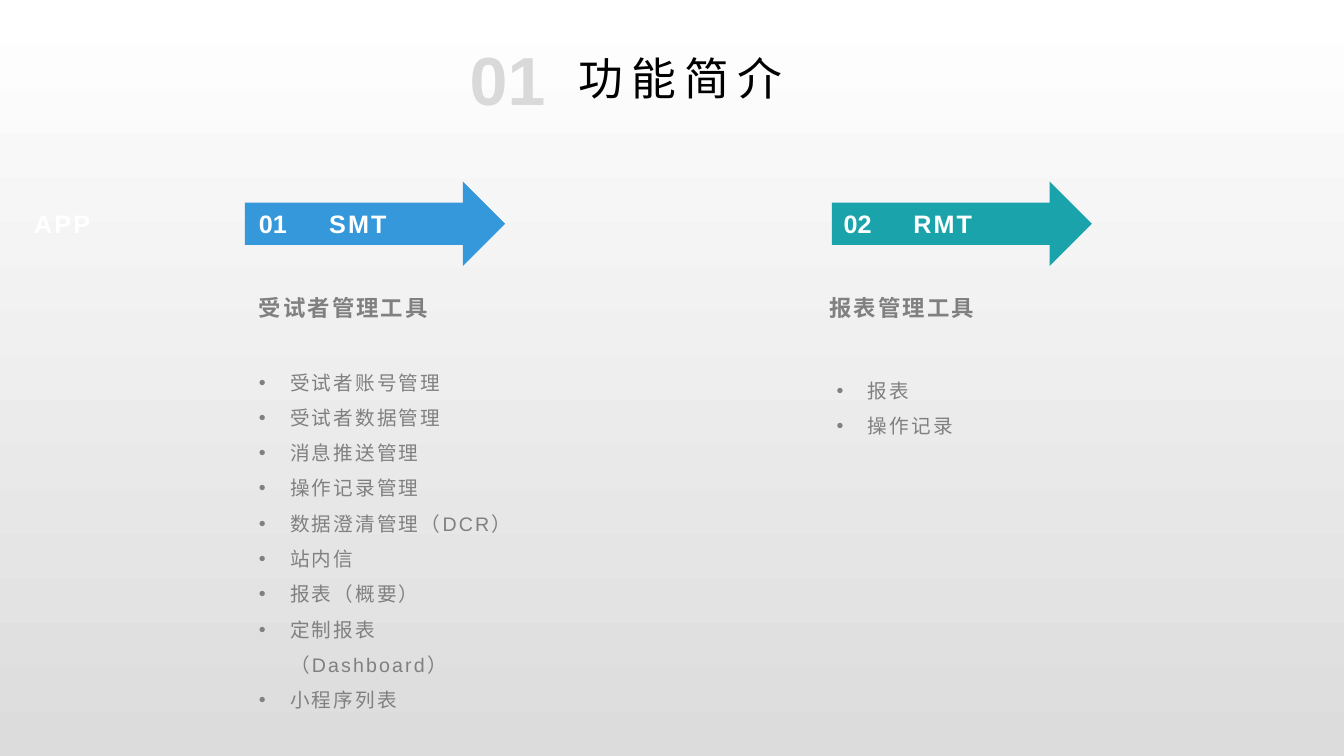
from lxml import etree
from pptx import Presentation
from pptx.dml.color import RGBColor
from pptx.enum.shapes import MSO_SHAPE
from pptx.enum.text import MSO_ANCHOR, PP_ALIGN
from pptx.oxml.ns import qn
from pptx.util import Inches, Pt

RIGHT_ARROW = MSO_SHAPE.RIGHT_ARROW
TOP, MIDDLE = MSO_ANCHOR.TOP, MSO_ANCHOR.MIDDLE
LEFT, CENTER = PP_ALIGN.LEFT, PP_ALIGN.CENTER

FONT = "Arial"
COLORS = {
    "white": "FFFFFF",
    "background_end": "DCDCDC",
    "black": "000000",
    "gray": "808080",
    "section": "D9D9D9",
    "blue": "3498DB",
    "teal": "1AA3AA",
}
TITLE = "功能简介"
SECTION_NUMBER = "01"
SIDE_LABEL = "APP"
TOOLS = [
    {
        "number": "01", "code": "SMT", "color": "blue",
        "arrow_left": 2.43, "number_left": 2.47, "code_box": (2.95, 1.2),
        "heading": "受试者管理工具", "heading_left": 2.47,
        "list_box": (2.47, 3.51, 2.9, 3.28),
        "features": [
            "受试者账号管理", "受试者数据管理", "消息推送管理",
            "操作记录管理", "数据澄清管理（DCR）", "站内信",
            "报表（概要）", "定制报表 （Dashboard）", "小程序列表",
        ],
    },
    {
        "number": "02", "code": "RMT", "color": "teal",
        "arrow_left": 8.25, "number_left": 8.27, "code_box": (8.79, 1.12),
        "heading": "报表管理工具", "heading_left": 8.13,
        "list_box": (8.2, 3.59, 2.3, 0.81),
        "features": ["报表", "操作记录"],
    },
]
ARROW_TOP, ARROW_WIDTH, ARROW_HEIGHT = 1.8, 2.58, 0.84
LABEL_TOP, LABEL_HEIGHT = 2.02, 0.4
BULLET_INDENT = Inches(0.31)


def rgb(name):
    return RGBColor.from_string(COLORS[name])


def add_bullet(paragraph):
    properties = paragraph._p.get_or_add_pPr()
    properties.set("marL", str(BULLET_INDENT))
    properties.set("indent", str(-BULLET_INDENT))
    etree.SubElement(properties, qn("a:buFont")).set("typeface", FONT)
    etree.SubElement(properties, qn("a:buChar")).set("char", "•")


def add_text(shapes, box, lines, size, color, bold=False, spacing=0,
             align=LEFT, anchor=TOP, line_spacing=None, bullets=False):
    shape = shapes.add_textbox(*map(Inches, box))
    frame = shape.text_frame
    frame.word_wrap = True
    frame.vertical_anchor = anchor
    for index, line in enumerate(lines):
        paragraph = frame.add_paragraph() if index else frame.paragraphs[0]
        if bullets:
            add_bullet(paragraph)
        paragraph.alignment = align
        if line_spacing:
            paragraph.line_spacing = line_spacing
        run = paragraph.add_run()
        run.text = line
        run.font.name = FONT
        run.font.size = Pt(size)
        run.font.bold = bold
        run.font.color.rgb = rgb(color)
        if spacing:
            run._r.get_or_add_rPr().set("spc", str(int(spacing * 100)))
    return shape


def add_label(shapes, left, width, text, **options):
    add_text(shapes, (left, LABEL_TOP, width, LABEL_HEIGHT), [text],
             18, "white", bold=True, **options)


def add_tool(slide, tool):
    group = slide.shapes.add_group_shape()
    arrow = group.shapes.add_shape(
        RIGHT_ARROW, Inches(tool["arrow_left"]), Inches(ARROW_TOP),
        Inches(ARROW_WIDTH), Inches(ARROW_HEIGHT))
    arrow.shadow.inherit = False
    arrow.fill.solid()
    arrow.fill.fore_color.rgb = rgb(tool["color"])
    arrow.line.fill.background()
    add_label(group.shapes, tool["number_left"], 0.53, tool["number"])
    add_label(group.shapes, *tool["code_box"], tool["code"],
              spacing=1.5, align=CENTER)
    add_text(slide.shapes, (tool["heading_left"], 2.87, 2.3, 0.37),
             [tool["heading"]], 16, "gray", bold=True, spacing=1.5)
    add_text(slide.shapes, tool["list_box"], tool["features"], 14, "gray",
             spacing=1.5, line_spacing=1.5, bullets=True)


def main():
    presentation = Presentation()
    presentation.slide_width = Inches(13.33)
    presentation.slide_height = Inches(7.5)
    slide = presentation.slides.add_slide(presentation.slide_layouts[6])
    background = slide.background.fill
    background.gradient()
    background.gradient_angle = 270
    for stop, color in zip(background.gradient_stops, ("white", "background_end")):
        stop.color.rgb = rgb(color)

    title = add_text(slide.shapes, (0.78, 0.44, 11.87, 0.65), [TITLE], 32,
                     "black", spacing=6, align=CENTER, anchor=MIDDLE)
    title.text_frame.margin_right = Inches(0.03)
    add_label(slide.shapes, 0.24, 0.9, SIDE_LABEL, spacing=1.5)
    for tool in TOOLS:
        add_tool(slide, tool)
    add_text(slide.shapes, (4.56, 0.22, 1.11, 1.03), [SECTION_NUMBER], 48.6,
             "section", bold=True, anchor=MIDDLE, line_spacing=1.1)
    presentation.save("out.pptx")


if __name__ == "__main__":
    main()
